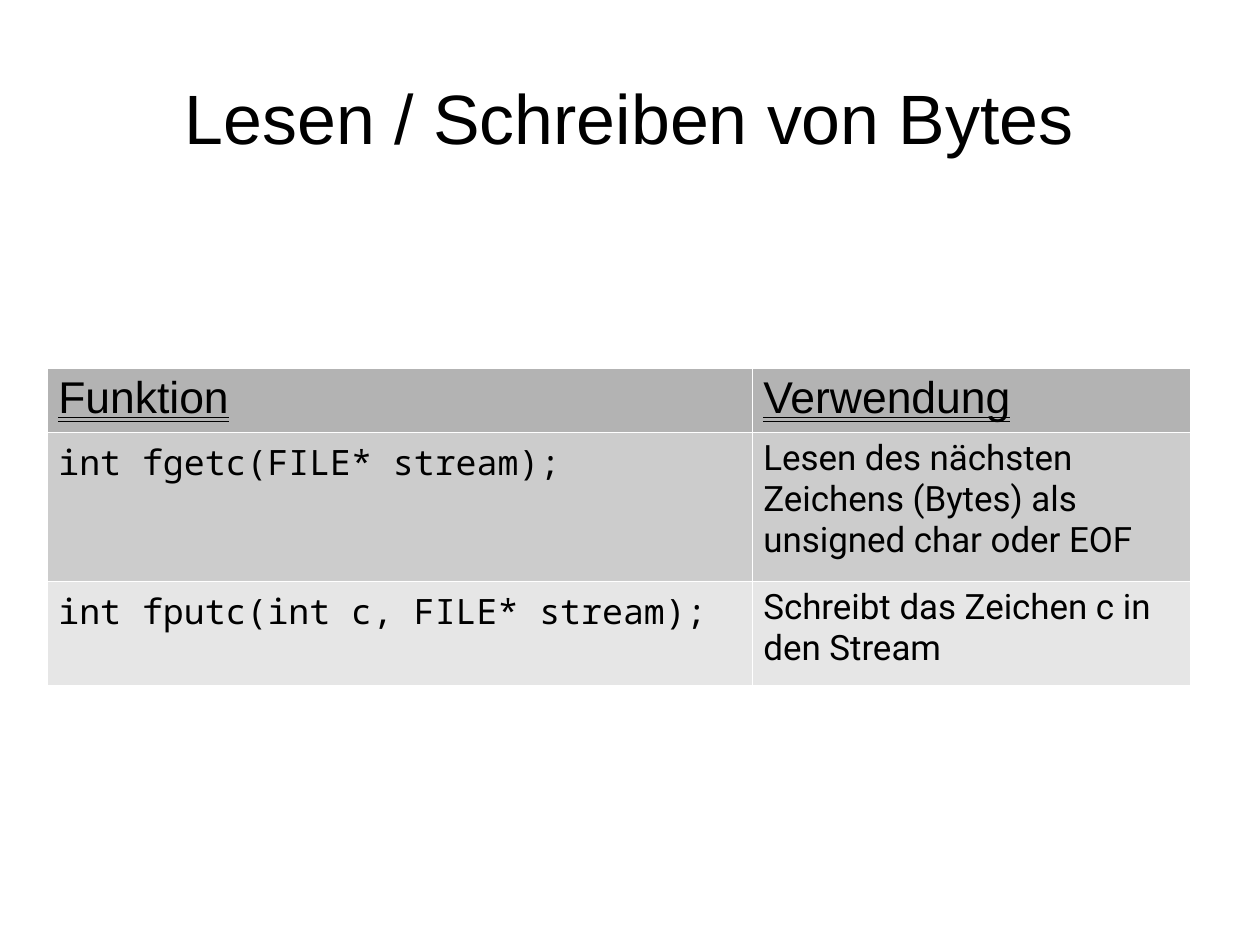
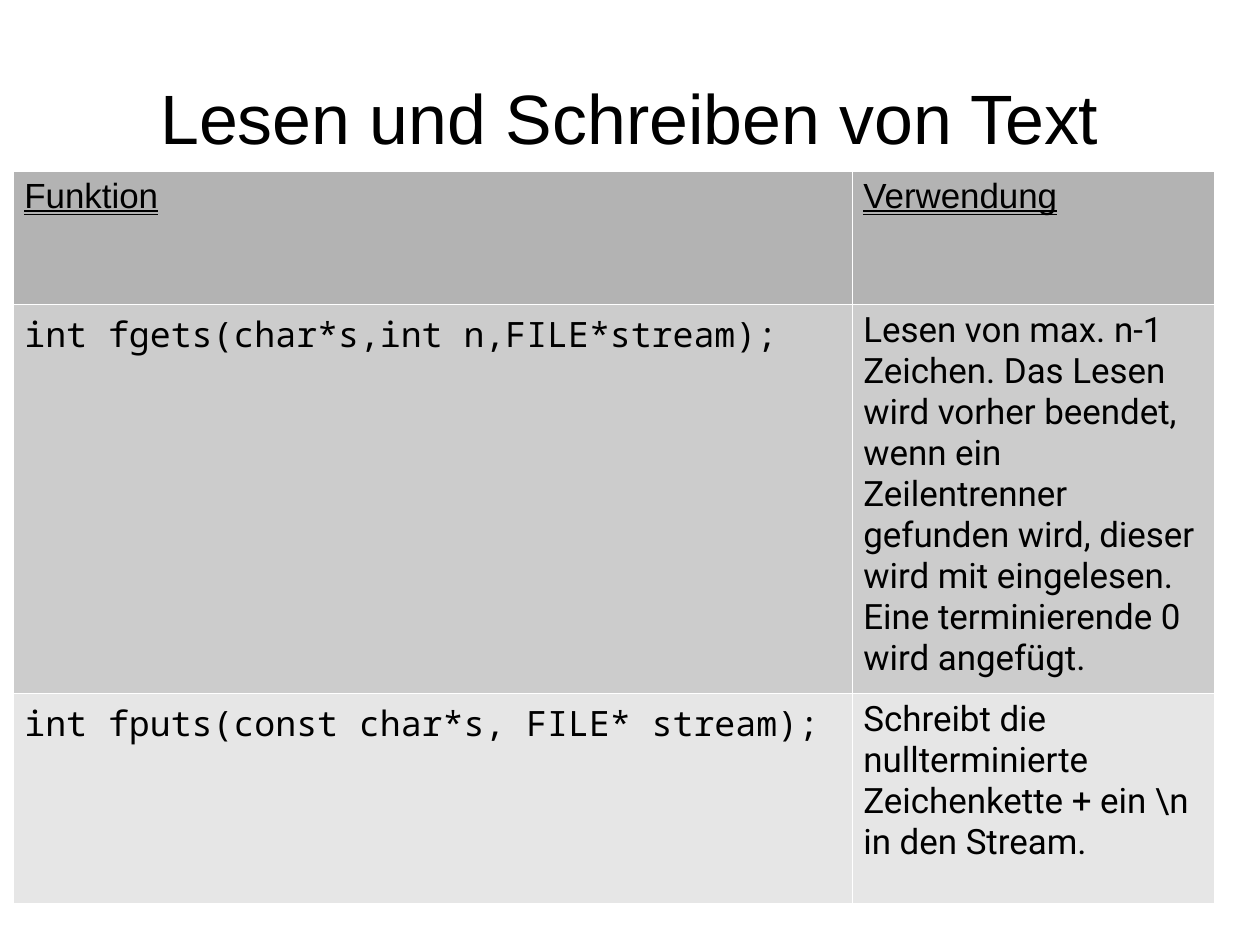
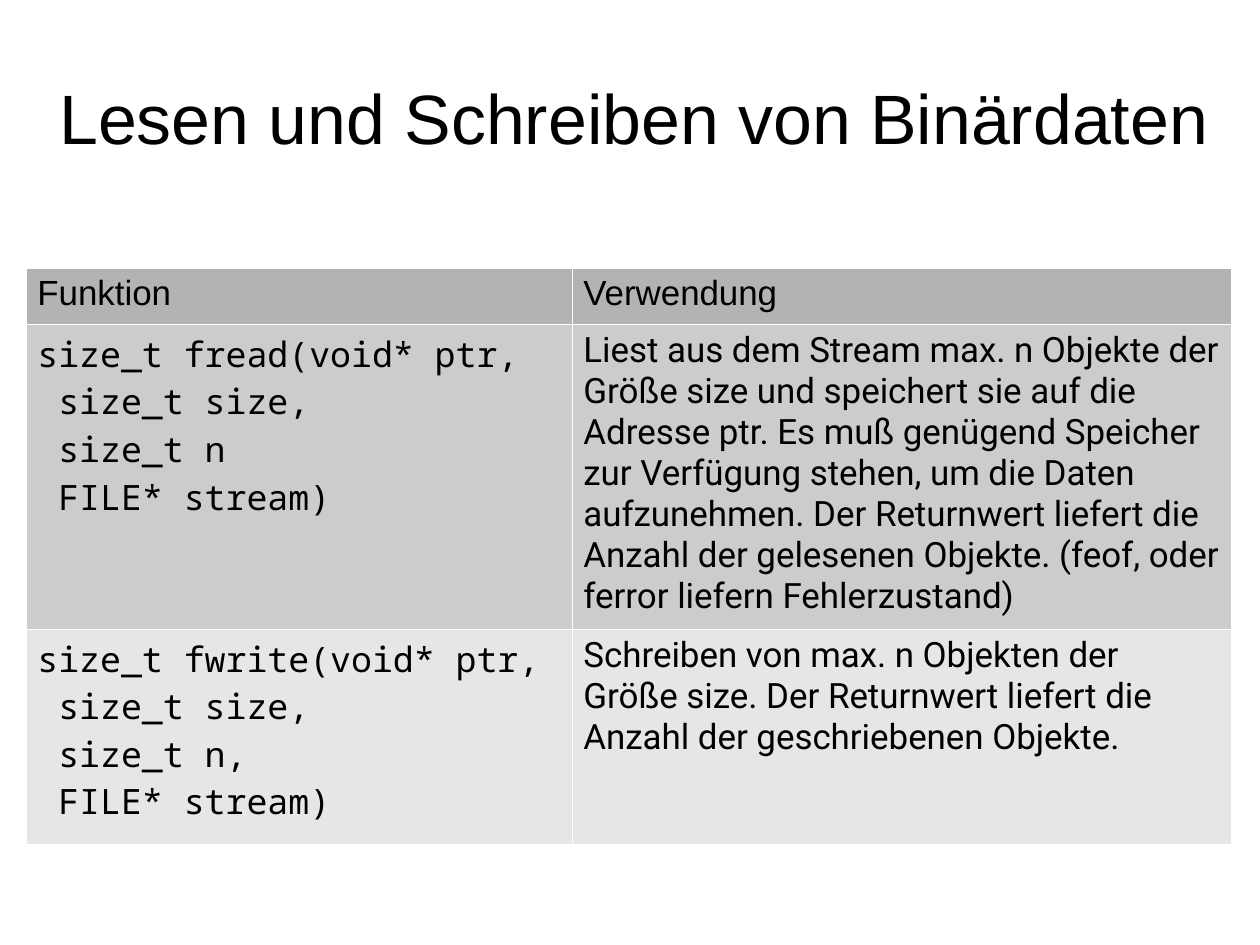
import dataclasses

import lxml.etree
import pptx
import pptx.dml.color
import pptx.enum.text
import pptx.oxml.ns
import pptx.util

PX = 8000  # EMU per px
SLIDE_SIZE = (1260, 945)
TITLE_BOX = (63, 38, 1134, 158)
WIDE_TITLE_BOX = (36, 38, 1197, 158)
HEADER = ("Funktion", "Verwendung")


@dataclasses.dataclass(frozen=True)
class Theme:
    text: str = "000000"
    border: str = "FFFFFF"
    row_fills: tuple = ("B3B3B3", "CCCCCC", "E6E6E6")
    heading_font: str = "Arial"
    column_fonts: tuple = ("Noto Sans Mono", "Roboto")
    title_size: int = 44
    large_header_size: int = 28
    table_size: int = 22
    border_width: int = 762


THEME = Theme()

SLIDES = [
    {
        "title": "Lesen / Schreiben von Bytes",
        "title_box": TITLE_BOX,
        "origin": (47, 368),
        "columns": (705, 438),
        "rows": (64, 149, 104),
        "header_size": THEME.large_header_size,
        "underlined": True,
        "functions": [
            ("int fgetc(FILE* stream);",
             "Lesen des nächsten Zeichens (Bytes) als unsigned char oder EOF"),
            ("int fputc(int c, FILE* stream);",
             "Schreibt das Zeichen c in den Stream"),
        ],
    },
    {
        "title": "Lesen und Schreiben von Text",
        "title_box": TITLE_BOX,
        "origin": (13, 171),
        "columns": (839, 362),
        "rows": (133, 389, 210),
        "header_size": THEME.table_size,
        "underlined": True,
        "functions": [
            ("int fgets(char*s,int n,FILE*stream);",
             "Lesen von max. n-1 Zeichen. Das Lesen wird vorher beendet, wenn ein "
             "Zeilentrenner gefunden wird, dieser wird mit eingelesen. "
             "Eine terminierende 0 wird angefügt."),
            ("int fputs(const char*s, FILE* stream);",
             "Schreibt die nullterminierte Zeichenkette + ein \\n in den Stream."),
        ],
    },
    {
        "title": "Lesen und Schreiben von Binärdaten",
        "title_box": WIDE_TITLE_BOX,
        "origin": (26, 268),
        "columns": (546, 659),
        "rows": (56, 305, 215),
        "header_size": THEME.table_size,
        "underlined": False,
        "functions": [
            ("size_t fread(void* ptr,\n size_t size,\n size_t n\n FILE* stream)",
             "Liest aus dem Stream max. n Objekte der Größe size und speichert sie "
             "auf die Adresse ptr. Es muß genügend Speicher zur Verfügung stehen, "
             "um die Daten aufzunehmen. Der Returnwert liefert die Anzahl der "
             "gelesenen Objekte. (feof, oder ferror liefern Fehlerzustand)"),
            ("size_t fwrite(void* ptr,\n size_t size,\n size_t n,\n FILE* stream)",
             "Schreiben von max. n Objekten der Größe size. Der Returnwert liefert "
             "die Anzahl der geschriebenen Objekte."),
        ],
    },
]


def format_runs(text_frame, font_name, size, underline=False):
    for para in text_frame.paragraphs:
        for span in para.runs:
            span.font.name = font_name
            span.font.size = pptx.util.Pt(size)
            span.font.bold = False
            span.font.underline = underline
            span.font.color.rgb = pptx.dml.color.RGBColor.from_string(THEME.text)


def add_title(page, text, box):
    title = page.shapes.title
    title.left, title.top, title.width, title.height = (value * PX for value in box)
    frame = title.text_frame
    frame.text = text
    frame.margin_left = frame.margin_right = frame.margin_top = frame.margin_bottom = 0
    frame.word_wrap = True
    frame.auto_size = pptx.enum.text.MSO_AUTO_SIZE.NONE
    frame.vertical_anchor = pptx.enum.text.MSO_ANCHOR.MIDDLE
    frame.paragraphs[0].alignment = pptx.enum.text.PP_ALIGN.CENTER
    format_runs(frame, THEME.heading_font, THEME.title_size)


def add_borders(cell):
    """Draw the four sides; call before setting the fill, which must follow them."""
    qn = pptx.oxml.ns.qn
    properties = cell._tc.get_or_add_tcPr()
    for side in ("a:lnL", "a:lnR", "a:lnT", "a:lnB"):
        line = lxml.etree.SubElement(properties, qn(side), w=str(THEME.border_width))
        fill = lxml.etree.SubElement(line, qn("a:solidFill"))
        lxml.etree.SubElement(fill, qn("a:srgbClr"), val=THEME.border)


def add_function_table(page, content):
    columns, rows = content["columns"], content["rows"]
    left, top = content["origin"]
    table = page.shapes.add_table(
        len(rows), len(columns), left * PX, top * PX, sum(columns) * PX, sum(rows) * PX
    ).table
    table.first_row = table.horz_banding = False
    for column, width in zip(table.columns, columns):
        column.width = width * PX
    for row, height in zip(table.rows, rows):
        row.height = height * PX

    underline = pptx.enum.text.MSO_UNDERLINE.DOUBLE_LINE if content["underlined"] else False
    for row_index, texts in enumerate([HEADER, *content["functions"]]):
        for column_index, text in enumerate(texts):
            cell = table.cell(row_index, column_index)
            add_borders(cell)
            cell.fill.solid()
            cell.fill.fore_color.rgb = pptx.dml.color.RGBColor.from_string(
                THEME.row_fills[row_index])
            cell.text_frame.text = text
            if row_index == 0:
                format_runs(cell.text_frame, THEME.heading_font,
                            content["header_size"], underline)
            else:
                format_runs(cell.text_frame, THEME.column_fonts[column_index],
                            THEME.table_size)


def main():
    deck = pptx.Presentation()
    deck.slide_width, deck.slide_height = (value * PX for value in SLIDE_SIZE)
    title_only = deck.slide_layouts.get_by_name("Title Only")
    for content in SLIDES:
        page = deck.slides.add_slide(title_only)
        add_title(page, content["title"], content["title_box"])
        add_function_table(page, content)
    deck.save("out.pptx")


if __name__ == "__main__":
    main()
